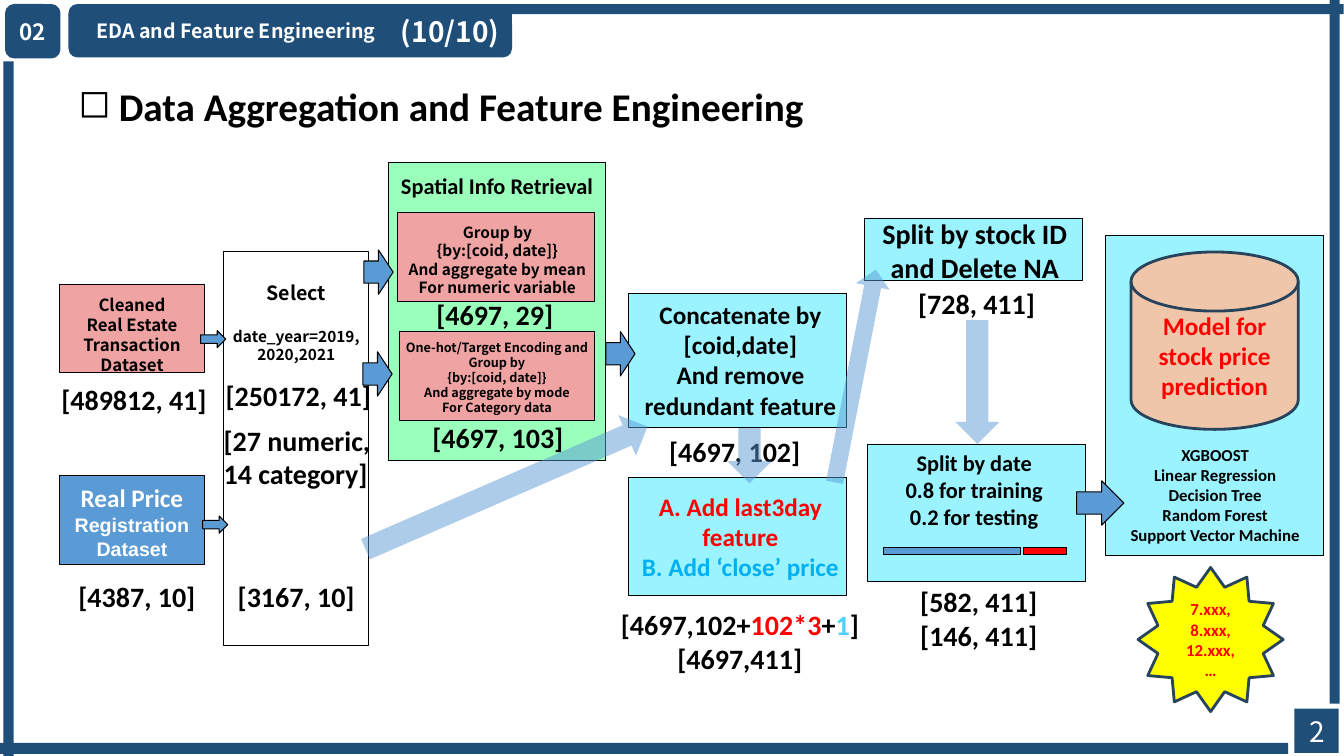
from lxml import etree
from pptx import Presentation
from pptx import util as u
from pptx.dml.color import RGBColor
from pptx.enum import shapes, text
from pptx.oxml.ns import qn

# All places and sizes are counted in square grid cells of a tenth of an inch.
CELL = 0.1
COLUMNS, ROWS = 133.33, 75
BOX_WIDTH = 21.6
CARD = (14.4, 8.8)
SANS, BODY, PLAIN = "Noto Sans CJK SC", "Calibri", "Arial"
COLORS = {
    "navy": "1F4E79", "white": "FFFFFF", "black": "000000", "blue": "5B9BD5",
    "pink": "EFA3A3", "green": "9BFFBC", "cyan": "9BF3FF", "peach": "EFC6AA",
    "slate": "28445D", "yellow": "FFFF00", "red": "FF0000", "sky": "00B0F0",
    "pale sky": "4DD1F7",
}
ALIGN = text.PP_ALIGN
PRESET = shapes.MSO_SHAPE


def cells(*counts):
    return [u.Inches(count * CELL) for count in counts]


def color(name):
    return RGBColor.from_string(COLORS[name])


def write(frame, lines, size=20, ink="black", font=BODY, bold=True, align=ALIGN.CENTER):
    """Fill a frame; a line is a string or a list of (text, changed format) runs."""
    frame.word_wrap = True
    for index, line in enumerate(lines):
        paragraph = frame.paragraphs[0] if index == 0 else frame.add_paragraph()
        paragraph.alignment = align
        for words, changes in [(line, {})] if isinstance(line, str) else line:
            run = paragraph.add_run()
            run.text = words
            run.font.size = u.Pt(changes.get("size", size))
            run.font.name = changes.get("font", font)
            run.font.bold = bold
            run.font.color.rgb = color(changes.get("ink", ink))
    return frame


def label(slide, place, *lines, **style):
    return write(slide.shapes.add_textbox(*cells(*place)).text_frame, lines, **style)


def block(slide, place, fill, preset=PRESET.RECTANGLE, line="black", weight=0.75):
    shape = slide.shapes.add_shape(preset, *cells(*place))
    shape.shadow.inherit = False
    shape.fill.solid()
    shape.fill.fore_color.rgb = color(fill)
    if line:
        shape.line.color.rgb = color(line)
        shape.line.width = u.Pt(weight)
    else:
        shape.line.fill.background()
    shape.text_frame.vertical_anchor = text.MSO_ANCHOR.MIDDLE
    return shape


def step_arrow(slide, place):
    block(slide, place, "blue", PRESET.RIGHT_ARROW)


def flow_arrow(slide, place, rotation):
    """Half-transparent arrow turned clockwise by the given degrees."""
    arrow = block(slide, place, "blue", PRESET.RIGHT_ARROW, line=None)
    arrow.rotation = rotation
    tint = next(arrow.fill._xPr.iter(qn("a:srgbClr")))
    etree.SubElement(tint, qn("a:alpha"), val="50000")


def add_bullet(paragraph, character, indent):
    properties = paragraph._p.get_or_add_pPr()
    properties.set("marL", str(indent))
    properties.set("indent", str(-indent))
    etree.SubElement(properties, qn("a:buChar"), char=character)


def draw_frame(slide):
    bars = [(7.7, 0.4, 125.6, 1), (0, 73.7, 127.8, 1.1), (131.9, 0, 1, 69.8),
            (0.35, 6.1, 1, 68.9), (128.4, 70.3, 4.4, 4.4)]
    for place in bars:
        block(slide, place, "navy", line=None)
    number = block(slide, (0.5, 0.4, 5.5, 5.4), "navy", PRESET.ROUNDED_RECTANGLE, None)
    write(number.text_frame, ["02"], size=16, ink="white", font=SANS)
    header = block(slide, (6.8, 0.4, 44, 5.3), "navy", PRESET.ROUNDED_RECTANGLE, None)
    header.text_frame.margin_left = u.Inches(0.25)
    write(header.text_frame, ["EDA and Feature Engineering"], size=14, ink="white",
          font=SANS, align=ALIGN.LEFT)
    label(slide, (38.8, 0.9, 13, 4.4), "(10/10)", ink="white", font=SANS, align=ALIGN.LEFT)
    label(slide, (128.8, 70.4, 3.7, 4.4), "2", ink="white", font=SANS, bold=False)
    title = label(slide, (6.8, 7.7, 109.2, 5.7), "Data Aggregation and Feature Engineering",
                  size=28, align=ALIGN.LEFT)
    add_bullet(title.paragraphs[0], "◻", u.Inches(0.4))


def draw_sources(slide):
    block(slide, (5.9, 28.2, *CARD), "pink")
    label(slide, (5.5, 28.7, 15.2, 9.1), "Cleaned", "Real Estate Transaction Dataset",
          size=12, font=SANS)
    block(slide, (5.9, 47.2, *CARD), "blue")
    label(slide, (6.3, 47.4, 13.6, 8.8), [("Real Price", {"size": 18, "font": BODY})],
          "Registration", "Dataset", size=14, ink="white", font=PLAIN)
    block(slide, (22.2, 25, 14.4, 39), "white")
    select = label(slide, (21.8, 27.4, 15.2, 11.3), "Select",
                   [("date_year=2019,2020,2021", {"size": 11})], size=14, font=SANS)
    select.paragraphs[1].space_before = u.Pt(16)


def draw_spatial(slide):
    block(slide, (38.5, 16.1, BOX_WIDTH, 29.6), "green")
    label(slide, (38.8, 16.6, 24.6, 3.7), "Spatial Info Retrieval", size=16, align=ALIGN.LEFT)
    block(slide, (39.4, 21.1, 19.6, 8.8), "pink")
    label(slide, (36.1, 21.6, 26.5, 12.1), "Group by", "{by:[coid, date]}",
          "And aggregate by mean", "For numeric variable", size=11, font=SANS)
    block(slide, (39.6, 32.9, 19.4, 8.8), "pink")
    label(slide, (38.5, 33.2, BOX_WIDTH, 8.6), "One-hot/Target Encoding and", "Group by",
          "{by:[coid, date]}", "And aggregate by mode", "For Category data",
          size=9, font=SANS)


def draw_features(slide):
    block(slide, (62.4, 29.1, BOX_WIDTH, 13.3), "cyan")
    label(slide, (62.4, 29.2, 22.1, 13.1), "Concatenate by [coid,date]", "And remove",
          "redundant feature", size=18)
    block(slide, (62.4, 47.4, BOX_WIDTH, 11.7), "cyan")
    label(slide, (62.4, 48.2, 22.1, 10.1), "A. Add last3day feature",
          [("B. Add ‘close’ price", {"ink": "sky"})], size=18, ink="red")
    label(slide, (60.3, 59.8, 26.2, 7.7),
          [("[4697,102+", {}), ("102*3", {"ink": "red"}), ("+", {}),
           ("1", {"ink": "pale sky"}), ("]", {})], "[4697,411]")


def draw_split(slide):
    block(slide, (85.8, 21.7, BOX_WIDTH, 6.1), "cyan")
    label(slide, (86.3, 21, 20.8, 7.7), "Split by stock ID and Delete NA")
    block(slide, (86.1, 44.1, BOX_WIDTH, 13.6), "cyan")
    label(slide, (86.1, 44.1, 21.1, 9.1), "Split by date", "0.8 for training",
          "0.2 for testing", size=16)
    label(slide, (86.5, 57.5, 21.2, 7.7), "[582, 411]", "[146, 411]")
    block(slide, (85.2, 53.2, 18.5, 2.9), "blue", PRESET.MATH_MINUS)
    block(slide, (100.8, 53.2, 5.8, 2.9), "red", PRESET.MATH_MINUS)


def draw_model(slide):
    block(slide, (109.7, 23.4, BOX_WIDTH, 31.7), "cyan")
    disk = block(slide, (112.2, 25, 16.6, 17.6), "peach",
                 PRESET.FLOWCHART_MAGNETIC_DISK, "slate", 2)
    write(disk.text_frame, ["Model for stock price prediction"], size=18, ink="red")
    label(slide, (110, 43.6, 21.1, 11.1), "XGBOOST", "Linear Regression", "Decision Tree",
          "Random Forest", "Support Vector Machine", size=12)
    star = block(slide, (112.9, 56.3, 14.4, 14.3), "yellow", PRESET.STAR_12_POINT, "slate", 2)
    write(star.text_frame, ["7.xxx,", "8.xxx,", "12.xxx,", "…"], size=12, ink="red")


def draw_table_sizes(slide):
    """Rows and columns of the data after each step."""
    sizes = [(5.1, 37.5, "[489812, 41]"), (6.8, 57, "[4387, 10]"),
             (21.4, 37.1, "[250172, 41]"), (22.6, 57, "[3167, 10]"),
             (41.9, 41.2, "[4697, 103]"), (42.3, 29, "[4697, 29]"),
             (65.4, 42.6, "[4697, 102]"), (90.1, 27.9, "[728, 411]")]
    for left, top, words in sizes:
        label(slide, (left, top, 18.3, 4.4), words, align=ALIGN.LEFT)
    label(slide, (21.2, 41.5, 17.5, 7.7), "[27 numeric,", "14 category]", align=ALIGN.LEFT)


def draw_arrows(slide):
    for left, top in [(19.9, 32.8), (20.1, 51.2)]:
        step_arrow(slide, (left, top, 2.5, 1.7))
    for left, top in [(36.1, 24.8), (36, 34.9), (60.1, 32.9)]:
        step_arrow(slide, (left, top, 2.9, 4.4))
    step_arrow(slide, (106.8, 47.7, 4.7, 4.4))
    flow_arrow(slide, (71.6, 43, 5.5, 4.4), 90)
    flow_arrow(slide, (35, 46.2, 30.5, 4.4), 336.5)
    flow_arrow(slide, (74.1, 35.6, 21.5, 3.4), 281)
    flow_arrow(slide, (90.8, 35.7, 12.3, 4.4), 90)


def main():
    presentation = Presentation()
    presentation.slide_width, presentation.slide_height = cells(COLUMNS, ROWS)
    slide = presentation.slides.add_slide(presentation.slide_layouts[6])
    slide.background.fill.solid()
    slide.background.fill.fore_color.rgb = color("white")
    for draw in (draw_frame, draw_sources, draw_spatial, draw_features, draw_split,
                 draw_model, draw_table_sizes, draw_arrows):
        draw(slide)
    presentation.save("out.pptx")


if __name__ == "__main__":
    main()
